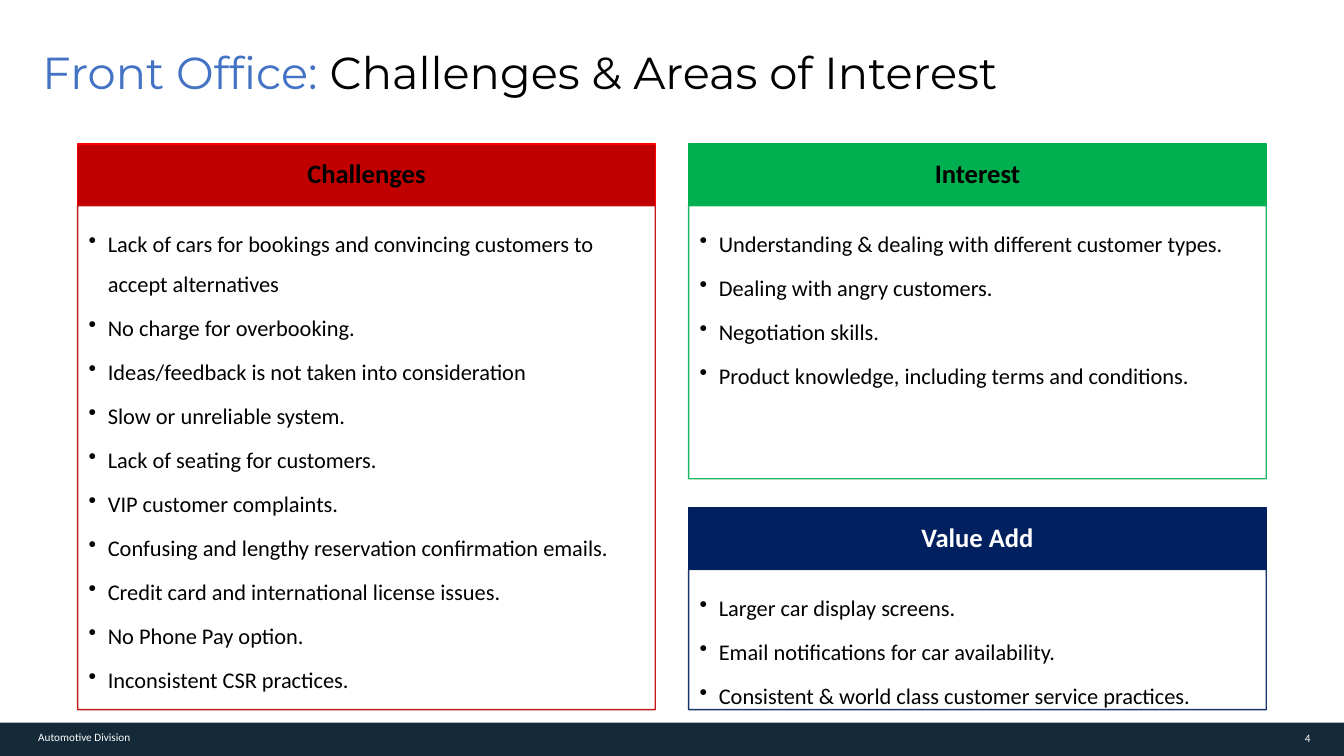
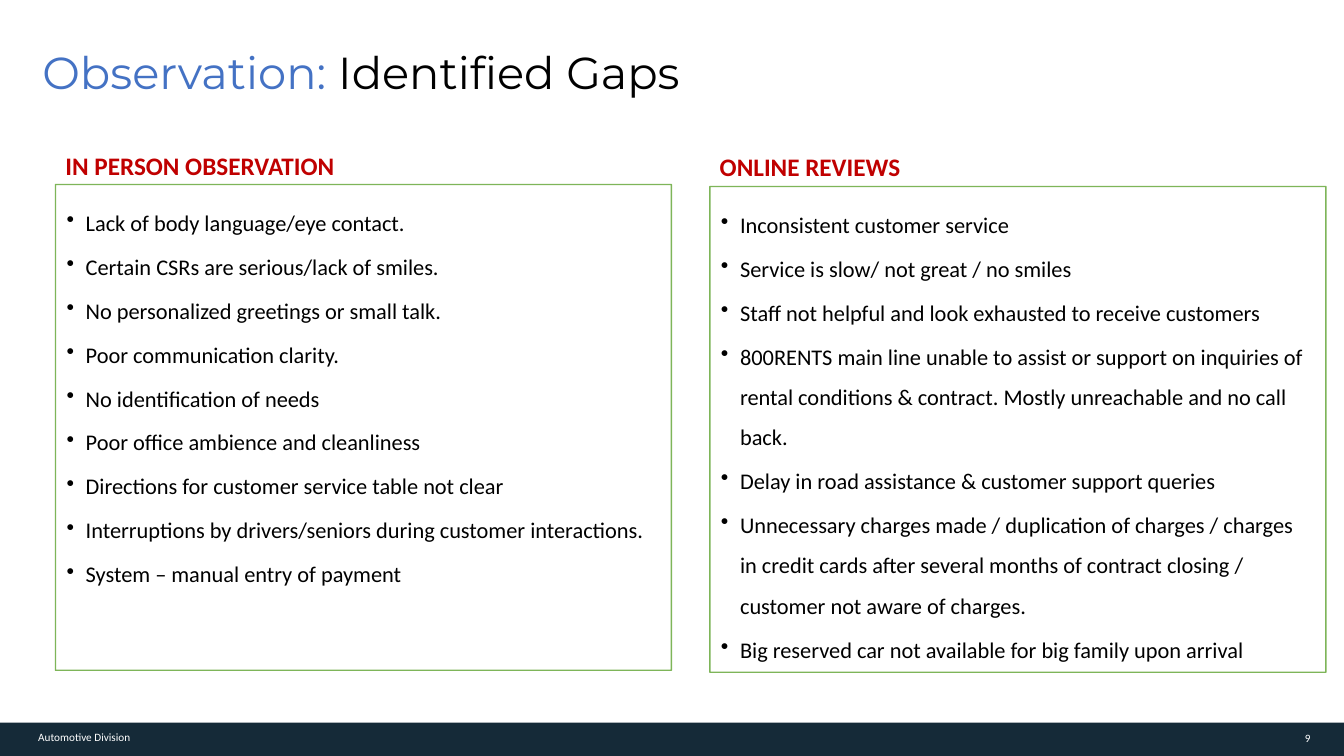
import pptx
import pptx.dml.color
import pptx.enum.shapes
import pptx.enum.text
import pptx.oxml
import pptx.oxml.ns
import pptx.util
from pptx.util import Inches

COLORS = {
    "accent": "4472C4", "black": "000000", "white": "FFFFFF", "band": "152A38",
    "red": "C00000", "bright_red": "FF0000", "green": "00B050",
    "navy": "002060", "leaf": "70AD47",
}
ALIGN = pptx.enum.text.PP_ALIGN
ANCHOR = pptx.enum.text.MSO_ANCHOR

FONTS = {
    "title": {"name": "Montserrat", "size": pptx.util.Pt(32), "bold": False},
    "header": {"name": "Calibri", "size": pptx.util.Pt(19), "bold": True},
    "label": {"name": "Calibri", "size": pptx.util.Pt(18), "bold": True},
    "body": {"name": "Calibri", "size": pptx.util.Pt(16), "bold": False},
    "footer": {"name": "Calibri", "size": pptx.util.Pt(8), "bold": False},
}
BULLET_PARAGRAPH = {
    "alignment": ALIGN.LEFT, "line_spacing": 1.5, "space_after": pptx.util.Pt(2.6),
}
HEADER_PARAGRAPH = {"alignment": ALIGN.CENTER, "line_spacing": 0.9}
TITLE_PARAGRAPH = {"alignment": ALIGN.LEFT, "line_spacing": 0.9}

SLIDE_WIDTH, SLIDE_HEIGHT = 13.33, 7.5
BAND_HEIGHT = 0.33
HEADER_HEIGHT = 0.61
BULLET_INDENT = 0.19
BODY_OPACITY = 90


def rgb(color):
    return pptx.dml.color.RGBColor.from_string(COLORS[color])


def apply_format(target, values):
    for name, value in values.items():
        setattr(target, name, value)


def add_run(paragraph, text, font, color):
    run = paragraph.add_run()
    run.text = text
    apply_format(run.font, FONTS[font])
    run.font.color.rgb = rgb(color)


def set_frame(frame, anchor, insets, wrap=True):
    """Insets run left, top, right, bottom, in inches."""
    sides = ("margin_left", "margin_top", "margin_right", "margin_bottom")
    apply_format(frame, {side: Inches(inset) for side, inset in zip(sides, insets)})
    apply_format(frame, {
        "vertical_anchor": anchor, "word_wrap": wrap,
        "auto_size": pptx.enum.text.MSO_AUTO_SIZE.NONE,
    })


def set_opacity(fill, percent):
    """Make a solid fill, or the fill of a line, partly transparent."""
    for color in fill.fore_color._xFill.iter(pptx.oxml.ns.qn("a:srgbClr")):
        alpha = pptx.oxml.parse_xml(
            f'<a:alpha {pptx.oxml.ns.nsdecls("a")} val="{percent * 1000}"/>')
        color.append(alpha)


def add_rectangle(slide, box, fill, line=None):
    rectangle = slide.shapes.add_shape(
        pptx.enum.shapes.MSO_SHAPE.RECTANGLE, *map(Inches, box))
    rectangle.shadow.inherit = False
    rectangle.fill.solid()
    rectangle.fill.fore_color.rgb = rgb(fill)
    if line:
        rectangle.line.color.rgb = rgb(line)
        rectangle.line.width = pptx.util.Pt(1)
    else:
        rectangle.line.fill.background()
    return rectangle


def add_label(slide, box, text, font, color, align=ALIGN.LEFT,
              anchor=ANCHOR.TOP, insets=(0.1, 0.05, 0.1, 0.05)):
    label = slide.shapes.add_textbox(*map(Inches, box))
    set_frame(label.text_frame, anchor, insets, wrap=False)
    paragraph = label.text_frame.paragraphs[0]
    paragraph.alignment = align
    add_run(paragraph, text, font, color)


def add_bullet(paragraph, text):
    properties = paragraph._p.get_or_add_pPr()
    indent = Inches(BULLET_INDENT)
    properties.set("marL", str(indent))
    properties.set("indent", str(-indent))
    properties.append(pptx.oxml.parse_xml(
        f'<a:buChar {pptx.oxml.ns.nsdecls("a")} char="•"/>'))
    apply_format(paragraph, BULLET_PARAGRAPH)
    add_run(paragraph, text, "body", "black")


def add_bullet_box(slide, box, outline, items):
    bullet_box = add_rectangle(slide, box, "white", outline)
    for fill in (bullet_box.fill, bullet_box.line.fill):
        set_opacity(fill, BODY_OPACITY)
    frame = bullet_box.text_frame
    set_frame(frame, ANCHOR.TOP, (0.11, 0.11, 0.15, 0.17))
    for index, item in enumerate(items):
        add_bullet(frame.add_paragraph() if index else frame.paragraphs[0], item)


def add_card(slide, box, heading, color, items, outline=None, text_color="black"):
    """A coloured header with an outlined bullet box right below it."""
    left, top, width, height = box
    header = add_rectangle(
        slide, (left, top, width, HEADER_HEIGHT), color, outline or color)
    set_frame(header.text_frame, ANCHOR.MIDDLE, (0.15, 0.08, 0.15, 0.08))
    paragraph = header.text_frame.paragraphs[0]
    apply_format(paragraph, HEADER_PARAGRAPH)
    add_run(paragraph, heading, "header", text_color)
    add_bullet_box(
        slide, (left, top + HEADER_HEIGHT, width, height - HEADER_HEIGHT), color, items)


def add_footer(slide, number):
    band_top = SLIDE_HEIGHT - BAND_HEIGHT
    add_rectangle(slide, (0, band_top, SLIDE_WIDTH, BAND_HEIGHT), "band")
    add_label(slide, (12.86, 7.26, 0.14, 0.13), str(number), "footer", "white",
              ALIGN.RIGHT, ANCHOR.MIDDLE, (0, 0, 0, 0))
    add_label(slide, (0.28, 7.2, 1.21, 0.24), "Automotive Division", "footer", "white")


def add_titled_slide(deck, topic, subject, number):
    slide = deck.slides.add_slide(deck.slide_layouts.get_by_name("Title Only"))
    add_footer(slide, number)
    title = slide.shapes.title
    apply_format(title, {
        "left": Inches(0.32), "top": Inches(0.22),
        "width": Inches(11.96), "height": Inches(1.05),
    })
    set_frame(title.text_frame, ANCHOR.MIDDLE, (0.1, 0.05, 0.1, 0.05))
    paragraph = title.text_frame.paragraphs[0]
    apply_format(paragraph, TITLE_PARAGRAPH)
    add_run(paragraph, topic + " ", "title", "accent")
    add_run(paragraph, subject, "title", "black")
    return slide


def add_front_office(deck):
    slide = add_titled_slide(deck, "Front Office:", "Challenges & Areas of Interest", 4)
    left, right, width = 0.77, 6.83, 5.73
    top, bottom, value_top = 1.43, 7.04, 5.04
    add_card(slide, (left, top, width, bottom - top), "Challenges", "red", [
        "Lack of cars for bookings and convincing customers to accept alternatives",
        "No charge for overbooking.",
        "Ideas/feedback is not taken into consideration",
        "Slow or unreliable system.",
        "Lack of seating for customers.",
        "VIP customer complaints.",
        "Confusing and lengthy reservation confirmation emails.",
        "Credit card and international license issues.",
        "No Phone Pay option.",
        "Inconsistent CSR practices.",
    ], outline="bright_red")
    add_card(slide, (right, top, width, 3.32), "Interest", "green", [
        "Understanding & dealing with different customer types.",
        "Dealing with angry customers.",
        "Negotiation skills.",
        "Product knowledge, including terms and conditions.",
    ])
    add_card(slide, (right, value_top, width, bottom - value_top), "Value Add", "navy", [
        "Larger car display screens.",
        "Email notifications for car availability.",
        "Consistent & world class customer service practices.",
    ], text_color="white")


def add_observation(deck):
    slide = add_titled_slide(deck, "Observation:", "Identified Gaps", 9)
    in_person = [
        "Lack of body language/eye contact.",
        "Certain CSRs are serious/lack of smiles.",
        "No personalized greetings or small talk.",
        "Poor communication clarity.",
        "No identification of needs",
        "Poor office ambience and cleanliness",
        "Directions for customer service table not clear",
        "Interruptions by drivers/seniors during customer interactions.",
        "System – manual entry of payment",
    ]
    reviews = [
        "Inconsistent customer service",
        "Service is slow/ not great / no smiles",
        "Staff not helpful and look exhausted to receive customers",
        "800RENTS main line unable to assist or support on inquiries of rental "
        "conditions & contract. Mostly unreachable and no call back.",
        "Delay in road assistance & customer support queries",
        "Unnecessary charges made / duplication of charges / charges in credit cards "
        "after several months of contract closing / customer not aware of charges.",
        "Big reserved car not available for big family upon arrival",
    ]
    columns = [
        ("IN PERSON OBSERVATION", 0.55, 1.44, 1.83, 2.89, in_person),
        ("ONLINE REVIEWS", 7.04, 1.45, 1.85, 2.1, reviews),
    ]
    for heading, left, label_top, box_top, label_width, items in columns:
        add_bullet_box(slide, (left, box_top, 6.11, 4.82), "leaf", items)
        add_label(slide, (left, label_top, label_width, 0.4), heading, "label", "red")


def main():
    deck = pptx.Presentation()
    deck.slide_width = Inches(SLIDE_WIDTH)
    deck.slide_height = Inches(SLIDE_HEIGHT)
    add_front_office(deck)
    add_observation(deck)
    deck.save("out.pptx")


if __name__ == "__main__":
    main()
